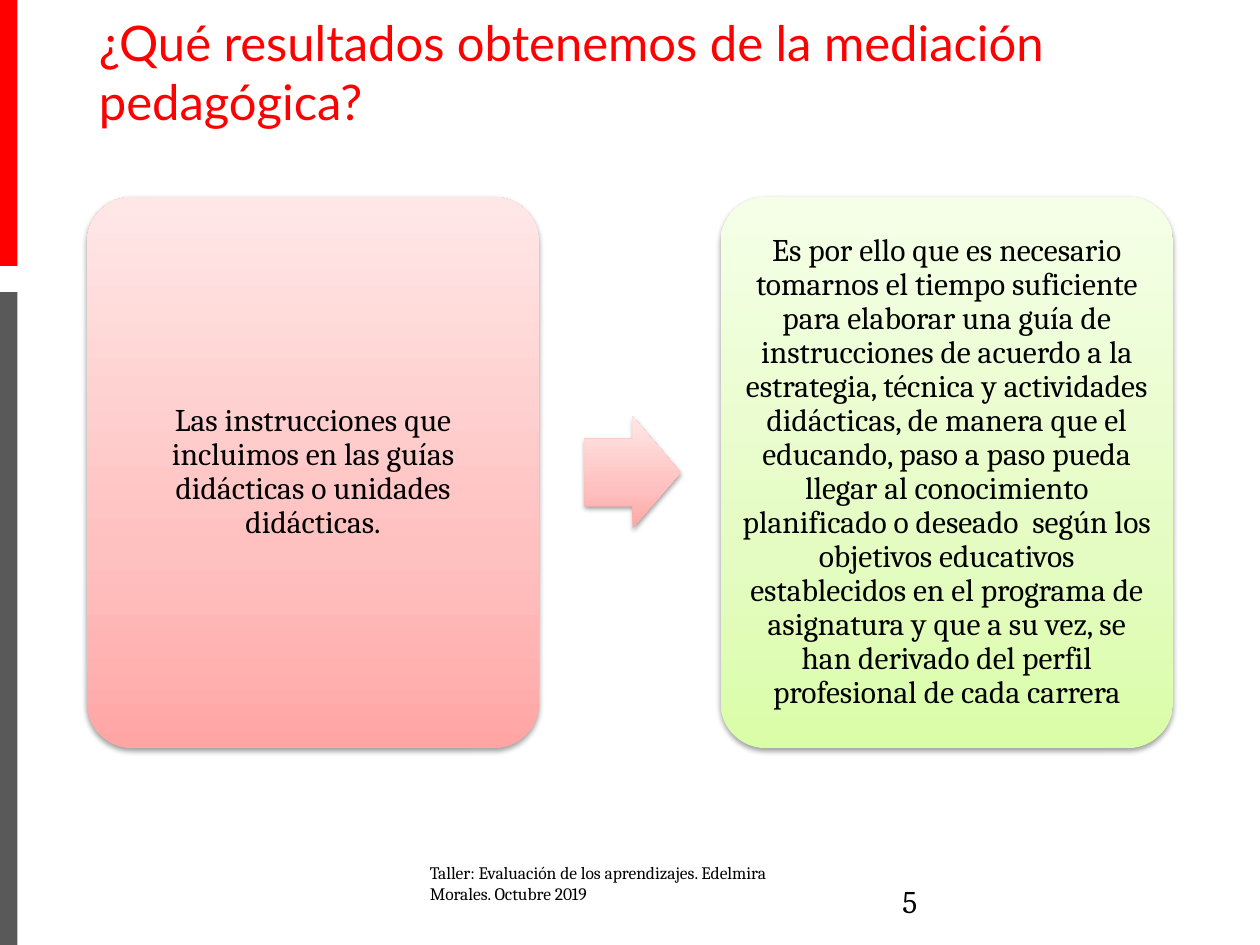
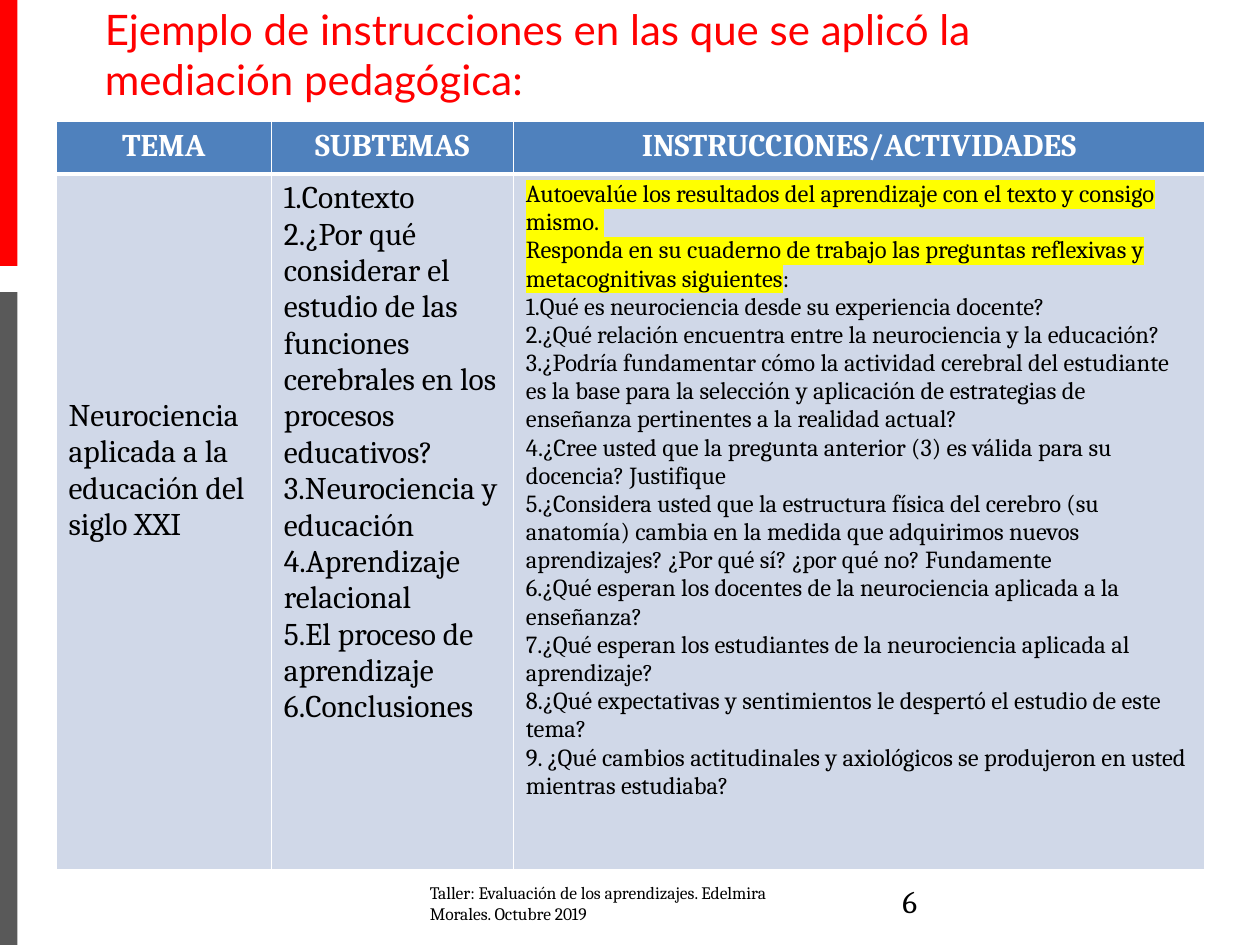
from copy import deepcopy
from dataclasses import dataclass
from typing import NamedTuple

from lxml import etree
from pptx import Presentation
from pptx.dml.color import RGBColor
from pptx.enum.shapes import MSO_SHAPE
from pptx.enum.text import MSO_ANCHOR, PP_ALIGN
from pptx.oxml.ns import qn
from pptx.util import Pt

RECTANGLE = MSO_SHAPE.RECTANGLE
ROUNDED = MSO_SHAPE.ROUNDED_RECTANGLE
ARROW = MSO_SHAPE.RIGHT_ARROW
LEFT, CENTER = PP_ALIGN.LEFT, PP_ALIGN.CENTER
TOP, MIDDLE = MSO_ANCHOR.TOP, MSO_ANCHOR.MIDDLE


@dataclass(frozen=True)
class Theme:
    red: str = "FF0000"
    gray: str = "595959"
    black: str = "000000"
    white: str = "FFFFFF"
    header: str = "4F81BD"
    body: str = "D0D8E8"
    highlight: str = "FFFF00"
    pink: tuple[str, ...] = ("FFA6A5", "FFC0BF", "FFE7E7")
    green: tuple[str, ...] = ("DAFDA7", "E4FCC2", "F5FFE7")
    stops: tuple[float, ...] = (0, 0.35, 1)
    title_font: str = "Lato"
    text_font: str = "Cambria"
    large: int = 18
    medium: int = 14
    small: int = 10


class Box(NamedTuple):
    left: float
    top: float
    width: float
    height: float

    def lengths(self) -> list[int]:
        return [Pt(value) for value in self]


class Style(NamedTuple):
    size: float
    color: str
    font: str
    bold: bool = False


class Span(NamedTuple):
    text: str
    marked: bool = False


class Figure(NamedTuple):
    kind: int
    box: Box
    colors: tuple[str, ...]
    adjustments: tuple[float, ...]
    text: str = ""


class Column(NamedTuple):
    heading: str
    width: float
    size: int
    top_margin: float
    lines: list[list[Span]]


THEME = Theme()
LARGE = Style(THEME.large, THEME.black, THEME.text_font)
SMALL = Style(THEME.small, THEME.black, THEME.text_font)
HEADING = Style(THEME.large, THEME.white, THEME.text_font, True)

# Shared places and wording
BANDS = [(Box(0, 0, 10, 152), THEME.red), (Box(0, 167, 10, 373), THEME.gray)]
FOOTER = "Taller: Evaluación de los aprendizajes. Edelmira Morales. Octubre 2019"
NUMBER_BOX = Box(508.5, 500.5, 162, 28.8)

# Cause and consequence cards
CARD_TOP, CARD_WIDTH, CARD_HEIGHT = 112.5, 258.5, 315
ARROW_HEIGHT = 64
FIGURES = [
    Figure(ROUNDED, Box(49.7, CARD_TOP, CARD_WIDTH, CARD_HEIGHT), THEME.pink, (0.1,),
           "Las instrucciones que incluimos en las guías didácticas o unidades "
           "didácticas."),
    Figure(ARROW, Box(334, CARD_TOP + (CARD_HEIGHT - ARROW_HEIGHT) / 2, 55, ARROW_HEIGHT),
           THEME.pink, (0.6, 0.5)),
    Figure(ROUNDED, Box(411.8, CARD_TOP, CARD_WIDTH, CARD_HEIGHT), THEME.green, (0.1,),
           "Es por ello que es necesario tomarnos el tiempo suficiente para elaborar "
           "una guía de instrucciones de acuerdo a la estrategia, técnica y actividades "
           "didácticas, de manera que el educando, paso a paso pueda llegar al "
           "conocimiento planificado o deseado  según los objetivos educativos "
           "establecidos en el programa de asignatura y que a su vez, se han derivado "
           "del perfil profesional de cada carrera"),
]

# Table of topics and activities
TABLE_LEFT, TABLE_TOP = 32, 69.5
ROW_HEIGHTS = (30, 397.5)
SUBTOPICS = [
    "1.Contexto",
    "2.¿Por qué considerar el estudio de las funciones cerebrales en los procesos "
    "educativos?",
    "3.Neurociencia y educación",
    "4.Aprendizaje relacional",
    "5.El proceso de aprendizaje",
    "6.Conclusiones",
]
QUESTIONS = [
    "1.Qué es neurociencia desde su experiencia docente?",
    "2.¿Qué relación encuentra entre la neurociencia y la educación?",
    "3.¿Podría fundamentar cómo la actividad cerebral del estudiante es la base para "
    "la selección y aplicación de estrategias de enseñanza pertinentes a la realidad "
    "actual?",
    "4.¿Cree usted que la pregunta anterior (3) es válida para su docencia? Justifique",
    "5.¿Considera usted que la estructura física del cerebro (su anatomía) cambia en "
    "la medida que adquirimos nuevos aprendizajes? ¿Por qué sí? ¿por qué no? Fundamente",
    "6.¿Qué esperan los docentes de la neurociencia aplicada a la enseñanza?",
    "7.¿Qué esperan los estudiantes de la neurociencia aplicada al aprendizaje?",
    "8.¿Qué expectativas y sentimientos le despertó el estudio de este tema?",
    "9. ¿Qué cambios actitudinales y axiológicos se produjeron en usted mientras "
    "estudiaba?",
]
INSTRUCTIONS = [
    [Span("Autoevalúe los resultados del aprendizaje con el texto y consigo mismo. ", True)],
    [Span("Responda en su cuaderno de trabajo las preguntas reflexivas y metacognitivas "
          "siguientes", True), Span(":")],
]
COLUMNS = [
    Column("TEMA", 123.1, THEME.large, 128,
           [[Span("Neurociencia aplicada a la educación del siglo XXI")]]),
    Column("SUBTEMAS", 138.3, THEME.large, 3.6, [[Span(line)] for line in SUBTOPICS]),
    Column("INSTRUCCIONES/ACTIVIDADES", 395.2, THEME.medium, 3.6,
           INSTRUCTIONS + [[Span(line)] for line in QUESTIONS]),
]


def apply(target, values: dict) -> None:
    for name, value in values.items():
        setattr(target, name, value)


def add_color(parent, color: str):
    return etree.SubElement(parent, qn("a:srgbClr"), val=color)


def write(frame, lines: list[list[Span]], style: Style, align=LEFT, spacing=None) -> None:
    frame.word_wrap = True
    for index, spans in enumerate(lines):
        para = frame.add_paragraph() if index else frame.paragraphs[0]
        apply(para, {"alignment": align, "line_spacing": spacing})
        for span in spans:
            run = para.add_run()
            run.text = span.text
            apply(run.font, {"size": Pt(style.size), "bold": style.bold, "name": style.font})
            run.font.color.rgb = RGBColor.from_string(style.color)
            if span.marked:
                mark = etree.Element(qn("a:highlight"))
                add_color(mark, THEME.highlight)
                run.font._element.find(qn("a:latin")).addprevious(mark)


def add_text(page, box: Box, text: str, style: Style) -> None:
    write(page.shapes.add_textbox(*box.lengths()).text_frame, [[Span(text)]], style)


def add_plain_shape(page, kind: int, box: Box):
    shape = page.shapes.add_shape(kind, *box.lengths())
    shape.line.fill.background()
    shape.shadow.inherit = False
    return shape


def fill_gradient(shape, colors: tuple[str, ...]) -> None:
    shape.fill.gradient()
    shape.fill.gradient_angle = 90
    stop_list = shape._element.spPr.find(qn("a:gradFill")).find(qn("a:gsLst"))
    stop_list.append(deepcopy(stop_list[0]))
    for stop, position, color in zip(shape.fill.gradient_stops, THEME.stops, colors):
        stop.position = position
        stop.color.rgb = RGBColor.from_string(color)


def add_shadow(shape) -> None:
    effects = shape._element.spPr.find(qn("a:effectLst"))
    shadow = etree.SubElement(effects, qn("a:outerShdw"), blurRad=str(Pt(3.1)),
                              dist=str(Pt(1.6)), dir="5400000", rotWithShape="0")
    etree.SubElement(add_color(shadow, THEME.black), qn("a:alpha"), val="38000")


def add_figure(page, figure: Figure) -> None:
    shape = add_plain_shape(page, figure.kind, figure.box)
    for index, value in enumerate(figure.adjustments):
        shape.adjustments[index] = value
    fill_gradient(shape, figure.colors)
    add_shadow(shape)
    if figure.text:
        frame = shape.text_frame
        margins = ("margin_left", "margin_top", "margin_right", "margin_bottom")
        apply(frame, dict.fromkeys(margins, Pt(5)) | {"vertical_anchor": MIDDLE})
        write(frame, [[Span(figure.text)]], LARGE, CENTER, 0.9)


def format_cell(cell, color: str, borders: dict[str, float]) -> None:
    properties = cell._tc.get_or_add_tcPr()
    for side, width in borders.items():
        line = etree.SubElement(properties, qn(f"a:ln{side}"), w=str(Pt(width)))
        add_color(etree.SubElement(line, qn("a:solidFill")), THEME.white)
    cell.fill.solid()
    cell.fill.fore_color.rgb = RGBColor.from_string(color)
    cell.vertical_anchor = TOP


def add_topic_table(page) -> None:
    box = Box(TABLE_LEFT, TABLE_TOP, sum(column.width for column in COLUMNS),
              sum(ROW_HEIGHTS))
    table = page.shapes.add_table(len(ROW_HEIGHTS), len(COLUMNS), *box.lengths()).table
    for row, height in zip(table.rows, ROW_HEIGHTS):
        row.height = Pt(height)
    for index, column in enumerate(COLUMNS):
        table.columns[index].width = Pt(column.width)
        heading, body = table.cell(0, index), table.cell(1, index)
        format_cell(heading, THEME.header, {"L": 1, "R": 1, "T": 1, "B": 3})
        format_cell(body, THEME.body, {"L": 1, "R": 1, "T": 3, "B": 1})
        body.margin_top = Pt(column.top_margin)
        write(heading.text_frame, [[Span(column.heading)]], HEADING, CENTER)
        write(body.text_frame, column.lines, LARGE._replace(size=column.size))


def add_page(deck, title: str, title_box: Box, title_size: int):
    page = deck.slides.add_slide(deck.slide_layouts[6])
    for box, color in BANDS:
        band = add_plain_shape(page, RECTANGLE, box)
        band.fill.solid()
        band.fill.fore_color.rgb = RGBColor.from_string(color)
    add_text(page, title_box, title, Style(title_size, THEME.red, THEME.title_font))
    return page


def add_footer(page, top: float, number: int) -> None:
    add_text(page, Box(238.5, top, 243, 28.8), FOOTER, SMALL)
    add_text(page, NUMBER_BOX, str(number), LARGE)


def main() -> None:
    deck = Presentation()
    apply(deck, {"slide_width": Pt(720), "slide_height": Pt(540)})

    # Results of mediation
    page = add_page(deck, "¿Qué resultados obtenemos de la mediación pedagógica?",
                    Box(49.5, 3.5, 621, 73.5), 28)
    for figure in FIGURES:
        add_figure(page, figure)
    add_footer(page, 489, 5)

    # Example of instructions
    page = add_page(deck, "Ejemplo de instrucciones en las que se aplicó la mediación "
                    "pedagógica:", Box(52.8, -1.5, 621, 88.5), 24)
    add_topic_table(page)
    add_footer(page, 500.5, 6)

    deck.save("out.pptx")


if __name__ == "__main__":
    main()
